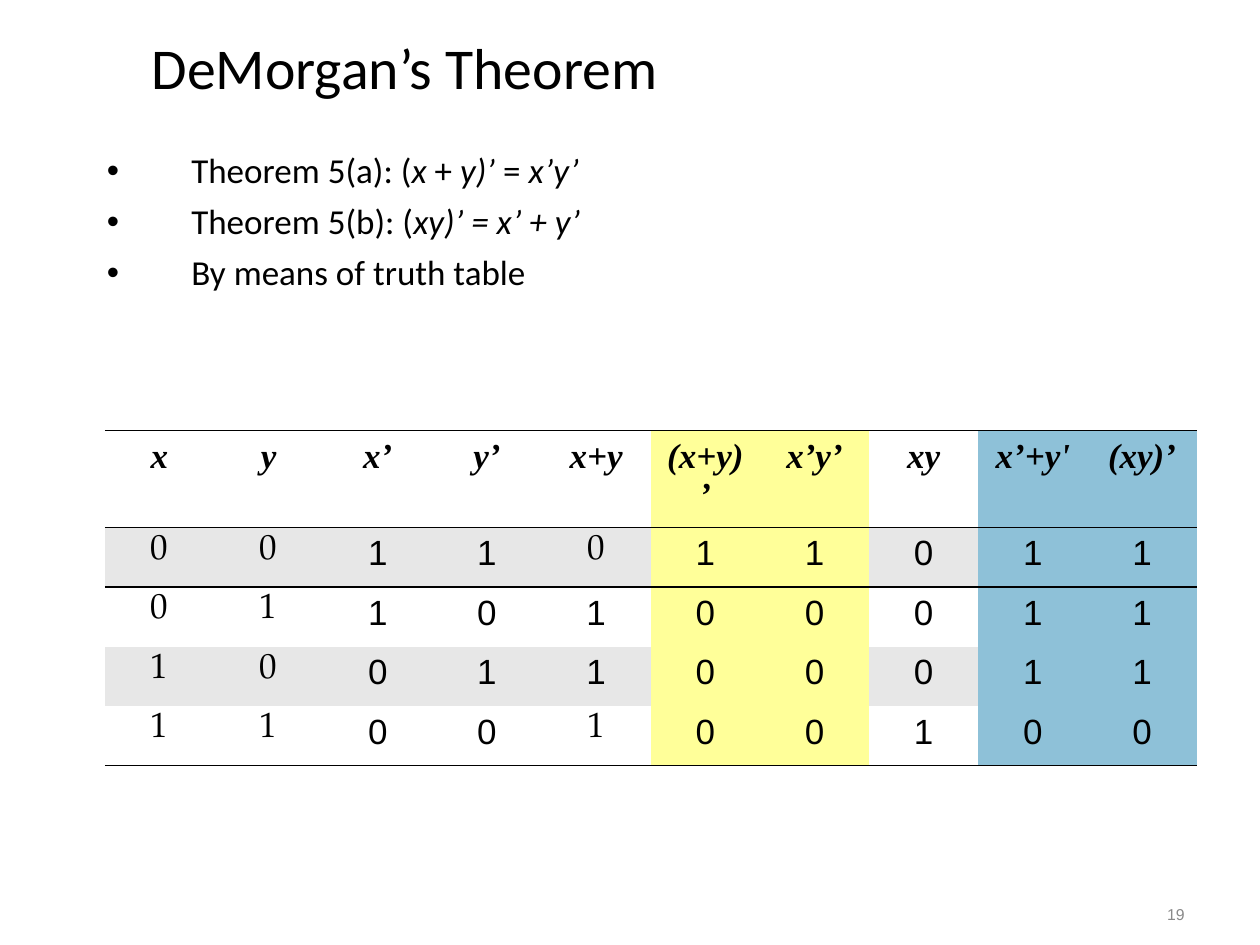
from dataclasses import dataclass
from itertools import product

from lxml.etree import SubElement
from pptx import Presentation
from pptx.dml.color import RGBColor
from pptx.enum.text import MSO_ANCHOR, PP_ALIGN
from pptx.oxml import parse_xml
from pptx.oxml.ns import nsdecls, qn
from pptx.util import Pt


@dataclass(frozen=True)
class Theme:
    black: str = "000000"
    white: str = "FFFFFF"
    band: str = "E7E7E7"
    yellow: str = "FFFF99"
    blue: str = "8EC1D8"
    gray: str = "898989"
    title_size: int = 33
    text_size: int = 20
    number_size: int = 9
    text_font: str = "Calibri"
    header_font: str = "Times New Roman"
    serif_font: str = "TeX Gyre Pagella"
    plain_font: str = "Arial"


theme = Theme()
NO_STYLE = "{2D5ABB26-0587-4C30-8999-92F81FD0307C}"


def set_font(paragraph, name, size, color=theme.black):
    paragraph.font.name = name
    paragraph.font.size = Pt(size)
    paragraph.font.color.rgb = RGBColor.from_string(color)


def add_border(cell, edge):
    """Draw a thin rule on one edge; call for lnB before lnT."""
    cell._tc.get_or_add_tcPr().insert(0, parse_xml(
        f'<a:{edge} {nsdecls("a")} w="12192"><a:solidFill>'
        f'<a:srgbClr val="{theme.black}"/></a:solidFill></a:{edge}>'))


presentation = Presentation()
presentation.slide_width = Pt(720)
presentation.slide_height = Pt(540)
slide = presentation.slides.add_slide(presentation.slide_layouts[6])

# Title
title = slide.shapes.add_textbox(Pt(72), Pt(12.24), Pt(612), Pt(56.16))
title_frame = title.text_frame
title_frame.word_wrap = True
title_frame.vertical_anchor = MSO_ANCHOR.MIDDLE
title_frame.margin_left = Pt(14.7)
paragraph = title_frame.paragraphs[0]
paragraph.text = "DeMorgan’s Theorem"
paragraph.line_spacing = 0.9
set_font(paragraph, theme.text_font, theme.title_size)

# Theorems: each run is (text, italic)
theorems = [
    [("Theorem 5(a): (", False), ("x", True), (" + ", False),
     ("y)’", True), (" = ", False), ("x’y’", True)],
    [("Theorem 5(b): (", False), ("xy)’ = x’ + y’", True)],
    [("By means of truth table", False)],
]
body = slide.shapes.add_textbox(Pt(54), Pt(84.24), Pt(573.84), Pt(118.8))
body_frame = body.text_frame
body_frame.word_wrap = True
for index, runs in enumerate(theorems):
    paragraph = body_frame.add_paragraph() if index else body_frame.paragraphs[0]
    paragraph.line_spacing = 0.9
    if index:
        paragraph.space_before = Pt(7.5)
    properties = paragraph._p.get_or_add_pPr()
    properties.set("marL", str(Pt(48.24)))
    properties.set("indent", str(-Pt(48.24)))
    bullet_color = SubElement(properties, qn("a:buClr"))
    SubElement(bullet_color, qn("a:srgbClr"), val=theme.black)
    SubElement(properties, qn("a:buFont"), typeface=theme.plain_font)
    SubElement(properties, qn("a:buChar"), char="•")
    set_font(paragraph, theme.text_font, theme.text_size)
    for text, italic in runs:
        run = paragraph.add_run()
        run.text = text
        run.font.italic = italic

# Truth table values
rows = [["x", "y", "x’", "y’", "x+y", "(x+y)’", "x’y’", "xy", "x’+y'", "(xy)’"]]
for x, y in product((0, 1), repeat=2):
    either, both = x | y, x & y
    rows.append([x, y, 1 - x, 1 - y, either, 1 - either, 1 - either,
                 both, 1 - both, 1 - both])
column_fills = {5: theme.yellow, 6: theme.yellow, 8: theme.blue, 9: theme.blue}
serif_cells = {(row, column) for row in range(1, 5) for column in (0, 1)}
serif_cells |= {(1, 4), (4, 4)}

# Truth table
table = slide.shapes.add_table(
    len(rows), len(rows[0]), Pt(59.9), Pt(246.1), Pt(624), Pt(191.4)).table
table._tbl.tblPr.find(qn("a:tableStyleId")).text = NO_STYLE
table.first_row = table.horz_banding = False
for column in table.columns:
    column.width = Pt(62.4)
for row_index, values in enumerate(rows):
    table.rows[row_index].height = Pt(34) if row_index else Pt(55.4)
    row_fill = theme.band if row_index % 2 else theme.white
    for column_index, value in enumerate(values):
        cell = table.cell(row_index, column_index)
        cell.fill.solid()
        cell.fill.fore_color.rgb = RGBColor.from_string(
            column_fills.get(column_index, row_fill))
        if row_index in (0, 4):
            add_border(cell, "lnB")
        if row_index in (0, 1):
            add_border(cell, "lnT")
        paragraph = cell.text_frame.paragraphs[0]
        paragraph.text = str(value)
        paragraph.alignment = PP_ALIGN.CENTER
        if row_index == 0:
            font_name = theme.header_font
            paragraph.font.bold = paragraph.font.italic = True
        elif (row_index, column_index) in serif_cells:
            font_name = theme.serif_font
        else:
            font_name = theme.plain_font
        set_font(paragraph, font_name, theme.text_size)

# Slide number
number = slide.shapes.add_textbox(Pt(534.24), Pt(516.24), Pt(149.76), Pt(12.24))
number_frame = number.text_frame
number_frame.word_wrap = True
number_frame.vertical_anchor = MSO_ANCHOR.MIDDLE
paragraph = number_frame.paragraphs[0]
paragraph.text = "19"
paragraph.alignment = PP_ALIGN.RIGHT
set_font(paragraph, theme.plain_font, theme.number_size, theme.gray)

presentation.save("out.pptx")
